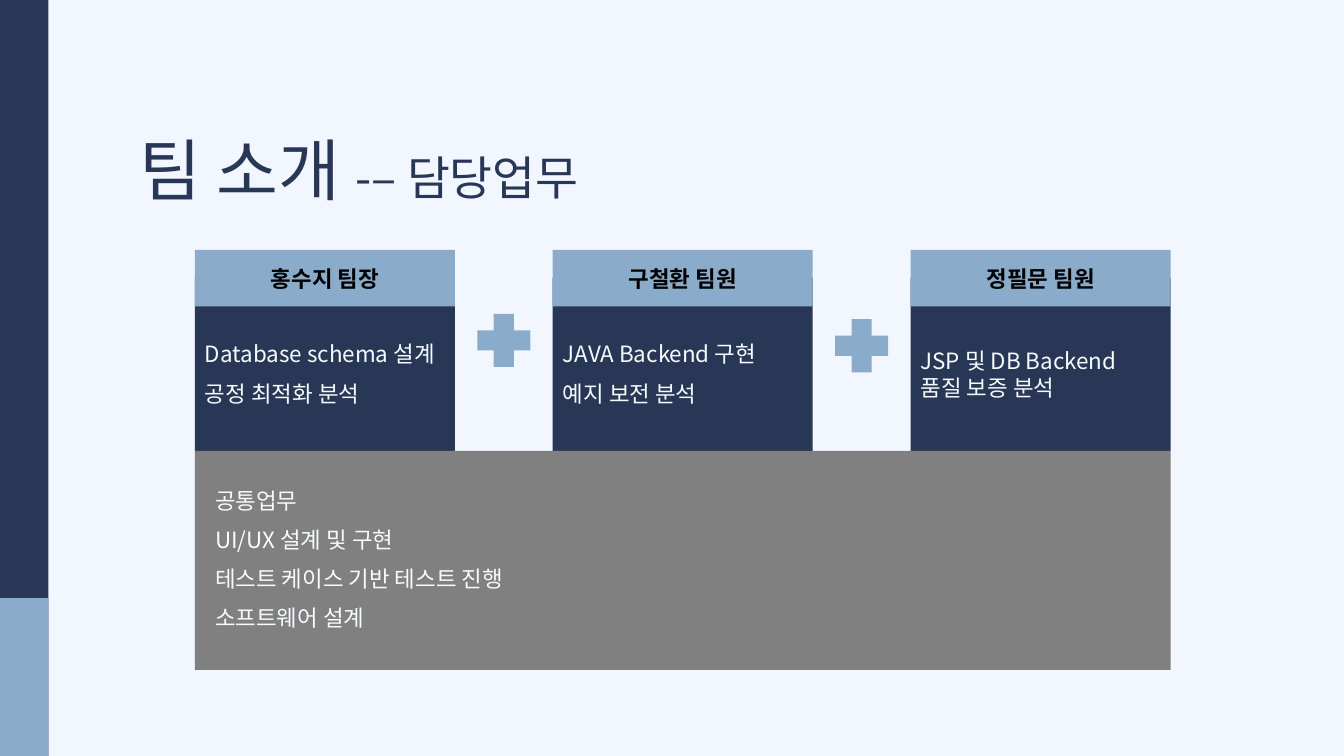
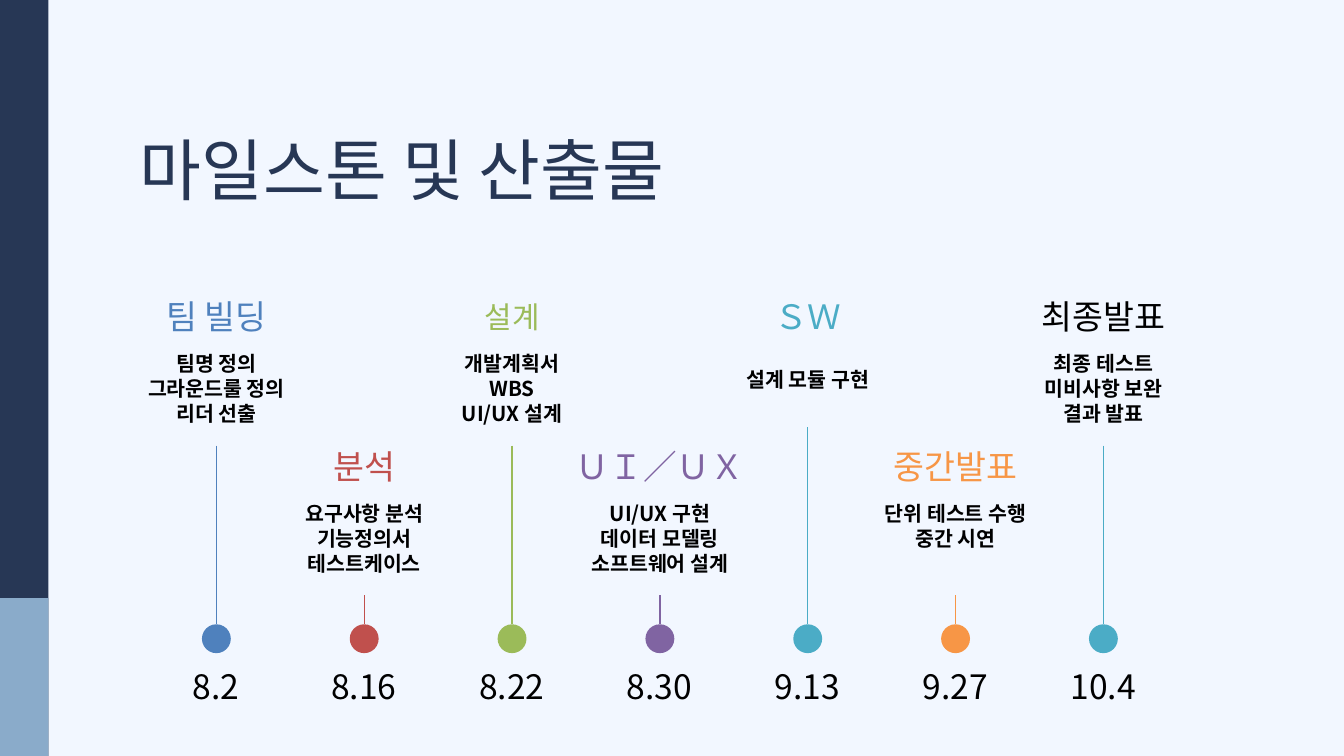
from lxml.etree import SubElement
from pptx import Presentation
from pptx.dml.color import RGBColor
from pptx.enum.shapes import MSO_CONNECTOR, MSO_SHAPE
from pptx.enum.text import MSO_ANCHOR, PP_ALIGN
from pptx.oxml.ns import qn
from pptx.util import Inches, Pt

# Shared look
COLORS = {
    "paper": "F2F7FF", "navy": "273755", "sky": "8AABCA", "gray": "808080",
    "pale": "F6FBFE", "black": "000000", "blue": "4F81BD", "red": "C0504D",
    "green": "9BBB59", "purple": "8064A2", "teal": "4BACC6", "orange": "F79646",
}
FONT, NAME_FONT = "Noto Sans CJK KR", "Calibri"
WIDTH, HEIGHT = 20, 11.25
BAND_WIDTH, BAND_SPLIT = 0.72, 8.9

# Slide 1: who does what
DUTIES_TITLE = [("팀 소개 ", 72), ("-– 담당업무", 50)]
MEMBERS = [  # name, duties, line spacing of each duty
    ("홍수지 팀장", ["Database schema 설계", "공정 최적화 분석"], (1.5, 1.5)),
    ("구철환 팀원", ["JAVA Backend 구현", "예지 보전 분석"], (1.5, 1.5)),
    ("정필문 팀원", ["JSP 및 DB Backend", "품질 보증 분석"], (Pt(50.4), None)),
]
COMMON_DUTIES = ["공통업무", "UI/UX 설계 및 구현", "테스트 케이스 기반 테스트 진행", "소프트웨어 설계"]
CARD_LEFT, CARD_STEP, CARD_WIDTH = 2.9, 5.325, 3.87
NAME_TOP, NAME_HEIGHT = 3.72, 0.84
DUTY_TOP, COMMON_TOP, COMMON_HEIGHT = 4.86, 6.71, 3.26
PLUS_SIZE, PLUS_TOPS = 0.79, (4.67, 4.75)

# Slide 2: milestones, alternating between an upper and a lower row
MILESTONES_TITLE = [("마일스톤 및 산출물", 72)]
MILESTONES = [  # date, phase, phase size, outputs, colour, phase colour
    ("8.2", "팀 빌딩", 36, ["팀명 정의", "그라운드룰 정의", "리더 선출"], "blue", "blue"),
    ("8.16", "분석", 36, ["요구사항 분석", "기능정의서", "테스트케이스"], "red", "red"),
    ("8.22", "설계", 32, ["개발계획서", "WBS", "UI/UX 설계"], "green", "green"),
    ("8.30", "ＵＩ／ＵＸ", 36, ["UI/UX 구현", "데이터 모델링", "소프트웨어 설계"], "purple", "purple"),
    ("9.13", "ＳＷ", 36, ["설계 모듈 구현"], "teal", "teal"),
    ("9.27", "중간발표", 36, ["단위 테스트 수행", "중간 시연"], "orange", "orange"),
    ("10.4", "최종발표", 36, ["최종 테스트", "미비사항 보완", "결과 발표"], "teal", "black"),
]
FIRST_DOT, DOT_STEP = 3.22, 2.2
DOT_TOP, DOT_SIZE, DATE_TOP = 9.29, 0.43, 9.89
PHASE_TOPS, PHASE_WIDTH, PHASE_HEIGHT = (4.38, 6.61), 3.33, 0.65
OUTPUT_OFFSET, STEM_OFFSET = 0.65, 2.25
SINGLE_SHIFT, SINGLE_STEM_SHIFT = 0.25, -0.27  # milestone with one output


def rgb(color):
    return RGBColor.from_string(COLORS[color])


def write(frame, paragraphs, size=24, color="pale", font=FONT, bold=False,
          align=PP_ALIGN.LEFT, anchor=MSO_ANCHOR.TOP, spacing=(), insets=(0, 0)):
    """Each paragraph is a string or a list of (text, size) runs."""
    frame.word_wrap = True
    frame.vertical_anchor = anchor
    frame.margin_left = frame.margin_right = Inches(insets[0])
    frame.margin_top = frame.margin_bottom = Inches(insets[1])
    for index, content in enumerate(paragraphs):
        paragraph = frame.paragraphs[0] if index == 0 else frame.add_paragraph()
        paragraph.alignment = align
        if spacing and spacing[index]:
            paragraph.line_spacing = spacing[index]
        for words, points in [(content, size)] if isinstance(content, str) else content:
            run = paragraph.add_run()
            run.text = words
            run.font.size, run.font.name, run.font.bold = Pt(points), font, bold
            run.font.color.rgb = rgb(color)


def add_text(slide, left, top, width, height, paragraphs, **style):
    box = slide.shapes.add_textbox(*map(Inches, (left, top, width, height)))
    write(box.text_frame, paragraphs, **style)


def add_block(slide, left, top, width, height, color, kind=MSO_SHAPE.RECTANGLE):
    block = slide.shapes.add_shape(kind, *map(Inches, (left, top, width, height)))
    block.shadow.inherit = False
    block.fill.solid()
    block.fill.fore_color.rgb = rgb(color)
    block.line.fill.background()
    return block


def add_stem(slide, x, top, dot, color):
    stem = slide.shapes.add_connector(
        MSO_CONNECTOR.STRAIGHT, *map(Inches, (x, top, x, DOT_TOP)))
    stem.end_connect(dot, 0)
    stem.line.color.rgb = rgb(color)
    stem.line.width = Pt(1.5)
    SubElement(stem._element.spPr, qn("a:effectLst"))


def start_slide(deck, title):
    slide = deck.slides.add_slide(deck.slide_layouts[6])
    slide.background.fill.solid()
    slide.background.fill.fore_color.rgb = rgb("paper")
    add_block(slide, 0, 0, BAND_WIDTH, HEIGHT, "navy")
    add_block(slide, 0, BAND_SPLIT, BAND_WIDTH, HEIGHT - BAND_SPLIT, "sky")
    add_text(slide, 2.08, 1.71, 12.67, 1.34, [title], color="navy", spacing=(Pt(100.8),))
    return slide


def build_duties(deck):
    slide = start_slide(deck, DUTIES_TITLE)

    # Member cards
    for column, (name, duties, spacing) in enumerate(MEMBERS):
        left = CARD_LEFT + column * CARD_STEP
        body_top = NAME_TOP + NAME_HEIGHT / 2
        add_block(slide, left, body_top, CARD_WIDTH, COMMON_TOP - body_top, "navy")
        header = add_block(slide, left, NAME_TOP, CARD_WIDTH, NAME_HEIGHT, "sky")
        write(header.text_frame, [name], color="black", font=NAME_FONT, bold=True,
              align=PP_ALIGN.CENTER, anchor=MSO_ANCHOR.MIDDLE, insets=(0.1, 0.05))
        add_text(slide, left, DUTY_TOP, CARD_WIDTH, 1.62, duties,
                 spacing=spacing, insets=(0.15, 0))

    # Plus signs, centred in the gaps between cards
    for gap, top in enumerate(PLUS_TOPS):
        center = CARD_LEFT + gap * CARD_STEP + (CARD_WIDTH + CARD_STEP) / 2
        plus = add_block(slide, center - PLUS_SIZE / 2, top, PLUS_SIZE, PLUS_SIZE,
                         "sky", MSO_SHAPE.CROSS)
        plus.adjustments[0] = 0.31

    # Common duties
    common_width = (len(MEMBERS) - 1) * CARD_STEP + CARD_WIDTH
    add_block(slide, CARD_LEFT, COMMON_TOP, common_width, COMMON_HEIGHT, "gray")
    add_text(slide, CARD_LEFT + 0.3, 7.07, 5.7, 2.31, COMMON_DUTIES,
             align=PP_ALIGN.JUSTIFY, spacing=[Pt(41.8)] * len(COMMON_DUTIES))


def build_milestones(deck):
    slide = start_slide(deck, MILESTONES_TITLE)
    centered = {"align": PP_ALIGN.CENTER, "insets": (0.2, 0.2)}
    label = {**centered, "anchor": MSO_ANCHOR.MIDDLE}

    for index, (date, phase, size, outputs, color, phase_color) in enumerate(MILESTONES):
        x = FIRST_DOT + index * DOT_STEP
        left = x - PHASE_WIDTH / 2
        phase_top = PHASE_TOPS[index % 2]
        single = len(outputs) == 1
        output_top = phase_top + OUTPUT_OFFSET + single * SINGLE_SHIFT
        stem_top = phase_top + STEM_OFFSET + single * SINGLE_STEM_SHIFT

        dot = add_block(slide, x - DOT_SIZE / 2, DOT_TOP, DOT_SIZE, DOT_SIZE,
                        color, MSO_SHAPE.OVAL)
        add_stem(slide, x, stem_top, dot, color)
        add_text(slide, x - 0.78, DATE_TOP, 1.55, PHASE_HEIGHT, [date],
                 size=36, color="black", **label)
        add_text(slide, left, output_top, PHASE_WIDTH, 1.61, outputs,
                 size=22, color="black", bold=True, **centered)
        add_text(slide, left, phase_top, PHASE_WIDTH, PHASE_HEIGHT, [phase],
                 size=size, color=phase_color, **label)


def main():
    deck = Presentation()
    deck.slide_width, deck.slide_height = Inches(WIDTH), Inches(HEIGHT)
    build_duties(deck)
    build_milestones(deck)
    deck.save("out.pptx")


if __name__ == "__main__":
    main()
